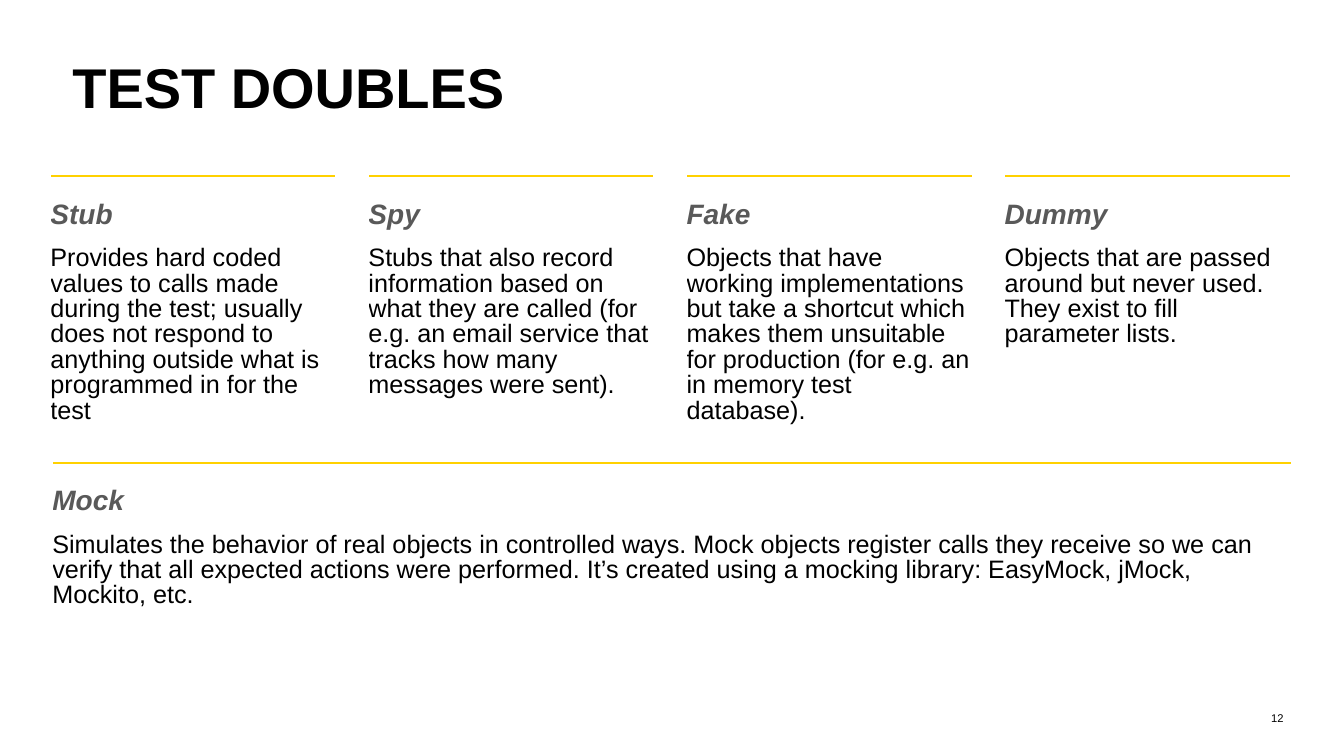
from lxml.etree import SubElement
from pptx import Presentation
from pptx.dml.color import RGBColor
from pptx.enum.text import MSO_ANCHOR, PP_ALIGN
from pptx.oxml import parse_xml
from pptx.oxml.ns import nsdecls
from pptx.util import Pt

BLACK = RGBColor(0x00, 0x00, 0x00)
GRAY = RGBColor(0x59, 0x59, 0x59)
YELLOW = RGBColor(0xFF, 0xD1, 0x00)

TITLE = dict(size=Pt(40), bold=True, color=BLACK)
HEADING = dict(size=Pt(20), bold=True, italic=True, color=GRAY)
BODY = dict(size=Pt(18), bold=False, italic=False, color=BLACK)
PAGE_NUMBER = dict(size=Pt(8), color=BLACK)

TOP, LEFT, PITCH, COLUMN_WIDTH, ROW_HEIGHT = 126, 36, 227.2, 204, 137.5
DOUBLES = [
    ("Stub", "Provides hard coded values to calls made during the test; usually does "
             "not respond to anything outside what is programmed in for the test"),
    ("Spy", "Stubs that also record information based on what they are called (for e.g. "
            "an email service that tracks how many messages were sent)."),
    ("Fake", "Objects that have working implementations but take a shortcut which makes "
             "them unsuitable for production (for e.g. an in memory test database)."),
    ("Dummy", "Objects that are passed around but never used. They exist to fill "
              "parameter lists."),
]
MOCK = ("Mock", "Simulates the behavior of real objects in controlled ways. Mock objects "
                "register calls they receive so we can verify that all expected actions "
                "were performed. It’s created using a mocking library: EasyMock, jMock, "
                "Mockito, etc.")


def write(p, text, formats):
    r = p.add_run()
    r.text = text
    r.font.name = "Arial"
    for name, value in formats.items():
        if name == "color":
            r.font.color.rgb = value
        else:
            setattr(r.font, name, value)


prs = Presentation()
prs.slide_width, prs.slide_height = Pt(960), Pt(540)
s = prs.slides.add_slide(prs.slide_layouts[6])

# Title and page number
labels = [
    ("TEST DOUBLES", (44.6, 45.4, 758, 44.6), TITLE, PP_ALIGN.LEFT, 0.7),
    ("12", (888, 504, 36, 18), PAGE_NUMBER, PP_ALIGN.RIGHT, 1.0),
]
for text, box, formats, align, spacing in labels:
    tf = s.shapes.add_textbox(*map(Pt, box)).text_frame
    tf.word_wrap = True
    tf.vertical_anchor = MSO_ANCHOR.MIDDLE
    p = tf.paragraphs[0]
    p.alignment, p.line_spacing = align, spacing
    write(p, text, formats)

# One single-cell table per kind of double, with a rule along its top
panels = [(double, (LEFT + i * PITCH, TOP, COLUMN_WIDTH, ROW_HEIGHT))
          for i, double in enumerate(DOUBLES)]
panels.append((MOCK, (37.4, 330.5, 885, 113)))
for (heading, body), box in panels:
    table = s.shapes.add_table(1, 1, *map(Pt, box)).table
    table.first_row = table.horz_banding = False
    cell = table.cell(0, 0)
    cell.margin_left = cell.margin_right = cell.margin_bottom = 0
    cell.margin_top = Pt(18)
    cell.fill.background()
    rule = parse_xml(f'<a:lnT {nsdecls("a")} w="{Pt(1.5)}"><a:solidFill/></a:lnT>')
    SubElement(rule[0], "{http://schemas.openxmlformats.org/drawingml/2006/main}srgbClr",
               val=str(YELLOW))
    cell._tc.get_or_add_tcPr().insert(0, rule)
    tf = cell.text_frame
    p = tf.paragraphs[0]
    p.line_spacing, p.space_after = 0.9, Pt(12)
    write(p, heading, HEADING)
    p = tf.add_paragraph()
    p.line_spacing = 0.9
    write(p, body, BODY)

prs.save("out.pptx")
